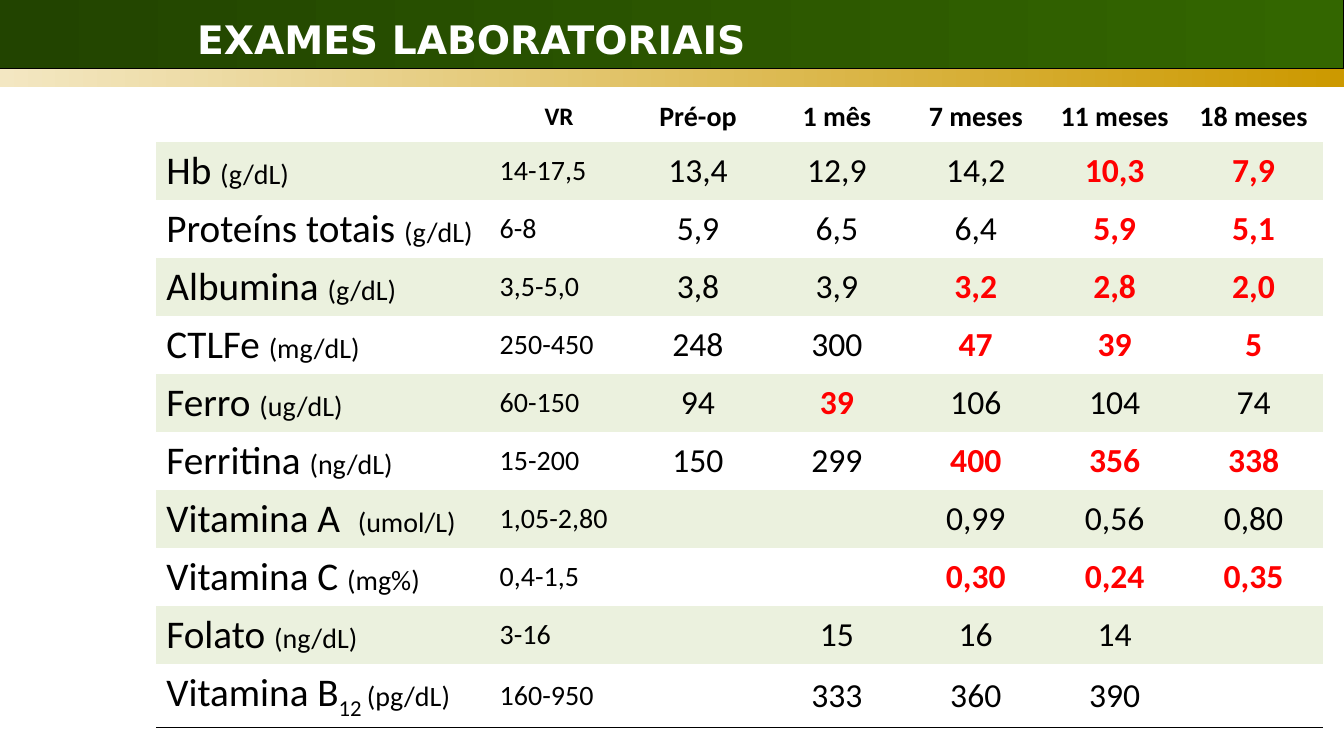
from dataclasses import dataclass

from lxml import etree
from pptx import Presentation
from pptx.dml.color import RGBColor
from pptx.enum import shapes, text
from pptx.oxml import ns
from pptx.util import Cm, Pt

TITLE = "EXAMES LABORATORIAIS"
HEADINGS = ["", "VR", "Pré-op", "1 mês", "7 meses", "11 meses", "18 meses"]
# Exam, subscript, unit, reference range, results; * marks an altered result
EXAMS = [
    ("Hb ", "", "(g/dL)", "14-17,5", ["13,4", "12,9", "14,2", "10,3*", "7,9*"]),
    ("Proteíns totais ", "", "(g/dL)", "6-8", ["5,9", "6,5", "6,4", "5,9*", "5,1*"]),
    ("Albumina ", "", "(g/dL)", "3,5-5,0", ["3,8", "3,9", "3,2*", "2,8*", "2,0*"]),
    ("CTLFe ", "", "(mg/dL)", "250-450", ["248", "300", "47*", "39*", "5*"]),
    ("Ferro ", "", "(ug/dL)", "60-150", ["94", "39*", "106", "104", "74"]),
    ("Ferritina ", "", "(ng/dL)", "15-200", ["150", "299", "400*", "356*", "338*"]),
    ("Vitamina A  ", "", "(umol/L)", "1,05-2,80", ["", "", "0,99", "0,56", "0,80"]),
    ("Vitamina C ", "", "(mg%)", "0,4-1,5", ["", "", "0,30*", "0,24*", "0,35*"]),
    ("Folato ", "", "(ng/dL)", "3-16", ["", "15", "16", "14", ""]),
    ("Vitamina B", "12 ", "(pg/dL)", "160-950", ["", "333", "360", "390", ""]),
]


@dataclass(frozen=True)
class Theme:
    body_font: str = "Calibri"
    title_font: str = "DejaVu Sans"
    ink: str = "000000"
    altered: str = "FF0000"
    white: str = "FFFFFF"
    stripe: str = "EBF1DE"
    green: tuple = ("224400", "336600")
    gold: tuple = ("F3E7C2", "CC9900")
    large: int = 28
    result: int = 24
    small: int = 20
    range_heading: int = 18


THEME = Theme()
NO_GRID_STYLE = "{2D5ABB26-0587-4C30-8999-92F81FD0307C}"
SLIDE_W, SLIDE_H = Cm(33.87), Cm(19.05)
BANNER_H, RIBBON_H = Cm(1.73), Cm(0.46)
TABLE_LEFT, TABLE_TOP = Cm(3.94), Cm(2.31)
COLUMN_WIDTHS = [Cm(8.4)] + [Cm(3.5)] * (len(HEADINGS) - 1)
ROW_HEIGHTS = [Cm(1.27)] + [Cm(1.45)] * (len(EXAMS) - 1) + [Cm(1.6)]


def add_run(paragraph, words, size, color=THEME.ink, bold=False, face=THEME.body_font):
    run = paragraph.add_run()
    run.text = words
    run.font.size = Pt(size)
    run.font.name = face
    run.font.bold = bold
    run.font.color.rgb = RGBColor.from_string(color)
    return run


def add_band(slide, top, height, colors):
    """Full-width bar with a left-to-right gradient."""
    band = slide.shapes.add_shape(shapes.MSO_SHAPE.RECTANGLE, 0, top, SLIDE_W, height)
    band.shadow.inherit = False
    band.fill.gradient()
    band.fill.gradient_angle = 0
    for stop, position, color in zip(band.fill.gradient_stops, (0, 1), colors):
        stop.position = position
        stop.color.rgb = RGBColor.from_string(color)
    band.line.fill.background()
    return band


def add_title(slide):
    title = slide.shapes.add_textbox(Cm(4.72), Cm(0.25), Cm(21.8), Cm(1.45))
    title.text_frame.word_wrap = True
    run = add_run(title.text_frame.paragraphs[0], TITLE, THEME.large, THEME.white,
                  True, THEME.title_font)
    shadow = etree.fromstring(
        f'<a:effectLst {ns.nsdecls("a")}><a:outerShdw dist="17961" dir="2700000">'
        f'<a:srgbClr val="{THEME.ink}"/></a:outerShdw></a:effectLst>')
    run.font._element.find(ns.qn("a:solidFill")).addnext(shadow)


def add_bottom_rule(cell):
    rule = etree.fromstring(
        f'<a:lnB {ns.nsdecls("a")} w="5715"><a:solidFill>'
        f'<a:srgbClr val="{THEME.ink}"/></a:solidFill></a:lnB>')
    cell._tc.get_or_add_tcPr().insert(0, rule)


def write_centred(cell, words, size, color=THEME.ink, bold=False):
    if words:
        paragraph = cell.text_frame.paragraphs[0]
        paragraph.alignment = text.PP_ALIGN.CENTER
        add_run(paragraph, words, size, color, bold)


def write_exam(cells, exam):
    name, subscript, unit, reference, results = exam
    label = cells[0].text_frame.paragraphs[0]
    add_run(label, name, THEME.large)
    if subscript:
        add_run(label, subscript, THEME.large).font._element.set("baseline", "-25000")
    add_run(label, unit, THEME.small)
    add_run(cells[1].text_frame.paragraphs[0], reference, THEME.small)
    for cell, result in zip(cells[2:], results):
        altered = result.endswith("*")
        write_centred(cell, result.rstrip("*"), THEME.result,
                      THEME.altered if altered else THEME.ink, altered)


def add_exam_table(slide):
    table = slide.shapes.add_table(
        len(ROW_HEIGHTS), len(COLUMN_WIDTHS), TABLE_LEFT, TABLE_TOP,
        sum(COLUMN_WIDTHS), sum(ROW_HEIGHTS)).table
    table._tbl.tblPr.find(ns.qn("a:tableStyleId")).text = NO_GRID_STYLE
    table.horz_banding = False
    for column, width in zip(table.columns, COLUMN_WIDTHS):
        column.width = width
    for index, (row, height) in enumerate(zip(table.rows, ROW_HEIGHTS)):
        row.height = height
        for cell in row.cells:
            cell.vertical_anchor = text.MSO_ANCHOR.MIDDLE
            if index % 2:
                cell.fill.solid()
                cell.fill.fore_color.rgb = RGBColor.from_string(THEME.stripe)
            else:
                cell.fill.background()
            if index == len(EXAMS):
                add_bottom_rule(cell)

    for column, heading in enumerate(HEADINGS):
        size = THEME.range_heading if column == 1 else THEME.small
        write_centred(table.cell(0, column), heading, size, bold=True)
    for index, exam in enumerate(EXAMS, start=1):
        write_exam(list(table.rows[index].cells), exam)


def main():
    deck = Presentation()
    deck.slide_width, deck.slide_height = SLIDE_W, SLIDE_H
    slide = deck.slides.add_slide(deck.slide_layouts[6])
    add_exam_table(slide)
    add_band(slide, BANNER_H, RIBBON_H, THEME.gold)
    banner = add_band(slide, 0, BANNER_H, THEME.green)
    banner.line.color.rgb = RGBColor.from_string(THEME.ink)
    banner.line.width = Pt(0.75)
    add_title(slide)
    deck.save("out.pptx")


if __name__ == "__main__":
    main()
